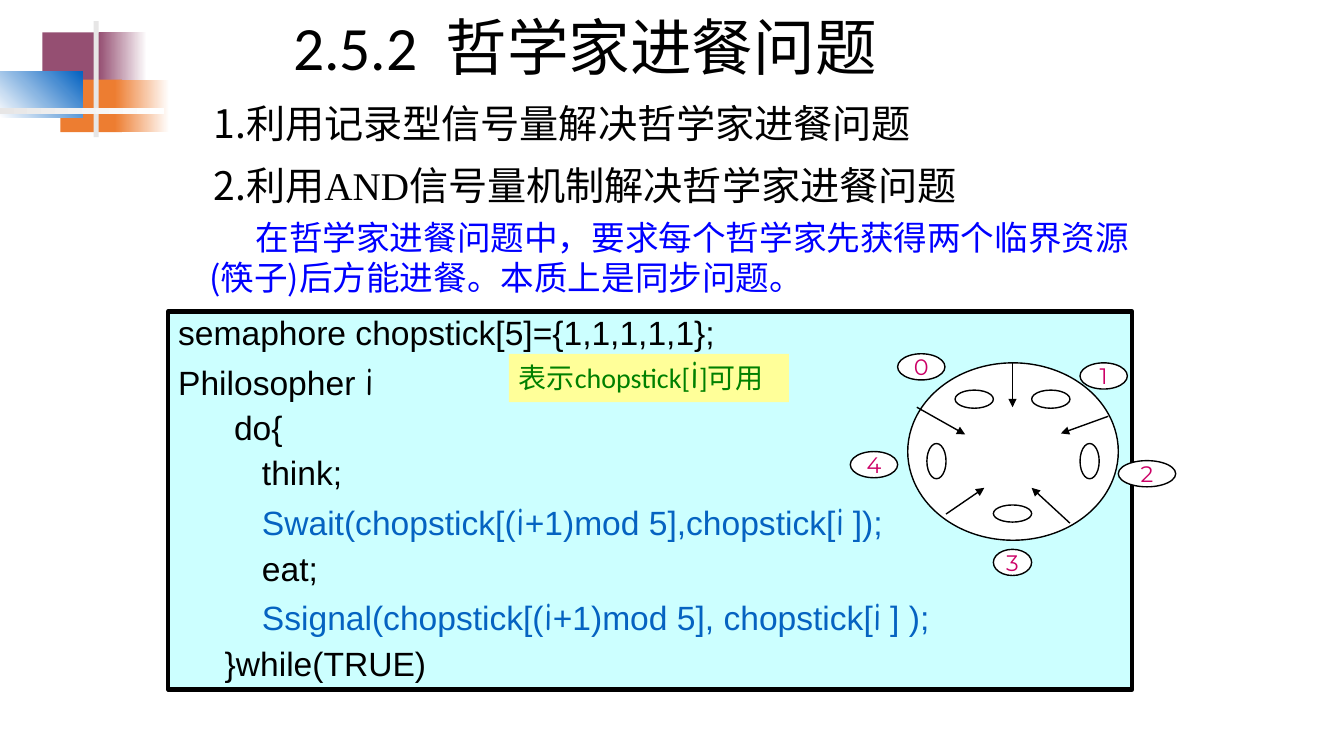
from dataclasses import dataclass

from lxml import etree
from pptx import Presentation
from pptx import util as u
from pptx.dml.color import RGBColor
from pptx.enum import shapes, text
from pptx.oxml.ns import qn

PX = 9144  # 100 px to the inch


@dataclass(frozen=True)
class Theme:
    # colours
    black: str = "000000"
    white: str = "FFFFFF"
    plum: str = "954F72"
    orange: str = "ED7D31"
    blue: str = "0563C1"
    grey: str = "E7E6E6"
    note: str = "0000FF"
    code_fill: str = "CCFFFF"
    tip_fill: str = "FFFF99"
    tip_text: str = "008000"
    number: str = "CC0066"
    # type sizes
    title: int = 44
    heading: int = 28
    body: int = 24
    tip: int = 20
    gap: int = 18
    label: int = 16
    # fonts
    cjk: str = "Noto Sans CJK SC"
    sans: str = "Arial"
    serif: str = "Times New Roman"
    ui: str = "Calibri"
    index: str = "Comic Neue"
    digit: str = "Montserrat"


THEME = Theme()


def span(content, **style):
    """A piece of text with its size, font and color."""
    return content, style


def write(box, paras, align=text.PP_ALIGN.LEFT, anchor=text.MSO_ANCHOR.TOP,
          wrap=True, grow=False, spacing=1.0, before=0, indent=0):
    """Fill a box with paragraphs, each a list of spans."""
    frame = box.text_frame
    frame.word_wrap = wrap
    frame.auto_size = (text.MSO_AUTO_SIZE.SHAPE_TO_FIT_TEXT if grow
                       else text.MSO_AUTO_SIZE.NONE)
    frame.vertical_anchor = anchor
    for number, spans in enumerate(paras):
        para = frame.add_paragraph() if number else frame.paragraphs[0]
        para.alignment = align
        para.line_spacing = spacing
        para.space_before = u.Pt(before if number else 0)
        if indent:
            para._p.get_or_add_pPr().set("indent", str(indent * PX))
        for content, style in spans:
            run = para.add_run()
            run.text = content
            run.font.size = u.Pt(style["size"])
            run.font.name = style["font"]
            run.font.color.rgb = RGBColor.from_string(style["color"])
            east = etree.SubElement(run._r.get_or_add_rPr(), qn("a:ea"))
            east.set("typeface", THEME.cjk)


class Slide:
    def __init__(self, deck, theme):
        self.theme = theme
        self.page = deck.slides.add_slide(deck.slide_layouts[6])

    def shape(self, kind, place, fill, line=0):
        """A preset shape; a pair of fill colours makes a gradient."""
        box = self.page.shapes.add_shape(kind, *(n * PX for n in place))
        box.shadow.inherit = False
        if isinstance(fill, tuple):
            box.fill.gradient()
            for stop, color in zip(box.fill.gradient_stops, fill):
                stop.color.rgb = RGBColor.from_string(color)
        else:
            box.fill.solid()
            box.fill.fore_color.rgb = RGBColor.from_string(fill)
        if line:
            box.line.color.rgb = RGBColor.from_string(self.theme.black)
            box.line.width = u.Pt(line)
        else:
            box.line.fill.background()
        return box

    def rect(self, place, fill, line=0, angle=0):
        box = self.shape(shapes.MSO_SHAPE.RECTANGLE, place, fill, line)
        if isinstance(fill, tuple):
            box.fill.gradient_angle = angle
        return box

    def oval(self, place):
        return self.shape(shapes.MSO_SHAPE.OVAL, place, self.theme.white, 1)

    def label(self, place, paras, **layout):
        box = self.page.shapes.add_textbox(*(n * PX for n in place))
        write(box, paras, **layout)

    def arrow(self, *ends):
        line = self.page.shapes.add_connector(
            shapes.MSO_CONNECTOR.STRAIGHT, *(n * PX for n in ends))
        line.line.color.rgb = RGBColor.from_string(self.theme.black)
        line.line.width = u.Pt(1)
        head = etree.SubElement(line.line._get_or_add_ln(), qn("a:tailEnd"))
        head.set("type", "triangle")
        etree.SubElement(line._element.spPr, qn("a:effectLst"))


def code(content, color=THEME.black):
    return span(content, size=THEME.body, font=THEME.sans, color=color)


def index(color=THEME.black, size=THEME.heading, content="i"):
    return span(content, size=size, font=THEME.index, color=color)


def semaphore_call(name, comma, close):
    blue = THEME.blue
    return [code(f"         {name}(chopstick[(", blue), index(blue),
            code(f"+1)mod 5]{comma}chopstick[", blue), index(blue),
            index(blue, THEME.gap, " "), code(close, blue)]


def heading(content, font=THEME.cjk):
    return span(content, size=THEME.heading, font=font, color=THEME.black)


def draw_ornament(slide):
    t = slide.theme
    slide.rect((42, 32, 64, 52), t.plum)
    slide.rect((98, 32, 48, 52), (t.plum, t.white))
    slide.rect((60, 79, 61, 52), t.orange)
    slide.rect((114, 79, 54, 52), (t.orange, t.white))
    slide.rect((0, 71, 82, 46), (t.white, t.blue), angle=45)
    slide.rect((93, 21, 5, 115), t.grey)
    slide.rect((0, 107, 163, 6), (t.grey, t.white))


def draw_headings(slide):
    t = slide.theme
    slide.label((281, 6, 852, 89), [[span(
        "2.5.2  哲学家进餐问题", size=t.title, font=t.ui, color=t.black)]],
        anchor=text.MSO_ANCHOR.MIDDLE, spacing=0.9)
    slide.label((202, 99, 787, 52),
                [[heading("1.利用记录型信号量解决哲学家进餐问题")]], spacing=0.9)
    slide.label((202, 155, 792, 57), [[
        heading("2.利用"), heading("AND", t.serif),
        heading("信号量机制解决哲学家进餐问题")]])
    slide.label((198, 210, 957, 90), [[span(
        "在哲学家进餐问题中，要求每个哲学家先获得两个临界资源(筷子)后方能进餐。"
        "本质上是同步问题。", size=t.body, font=t.cjk, color=t.note)]], indent=46)


def draw_code(slide):
    t = slide.theme
    box = slide.rect((167, 309, 957, 375), t.code_fill, 3)
    write(box, [
        [code("semaphore chopstick[5]={1,1,1,1,1};")],
        [code("Philosopher "), index()],
        [code("      do{")],
        [code("         think;")],
        semaphore_call("Swait", ",", "]);"),
        [code("         eat;")],
        semaphore_call("Ssignal", ", ", "] );"),
        [code("     }while(TRUE)")],
    ], spacing=0.9, before=6)


def draw_table(slide):
    t = slide.theme
    slide.oval((901, 360, 209, 176))
    # chopsticks
    for ends in ((1005, 360, 1005, 404), (910, 404, 958, 431),
                 (939, 510, 977, 484), (1062, 519, 1024, 484),
                 (1100, 413, 1053, 430)):
        slide.arrow(*ends)
    # philosophers: left, top, width
    seats = ((891, 351, 47), (1072, 360, 47), (1110, 457, 57),
             (986, 545, 38), (844, 448, 47))
    for number, (left, top, width) in enumerate(seats):
        write(slide.oval((left, top, width, 26)), [[span(
            str(number), size=t.label, font=t.digit, color=t.number)]],
            align=text.PP_ALIGN.CENTER, anchor=text.MSO_ANCHOR.MIDDLE, wrap=False)
    # plates
    for place in ((920, 440, 19, 35), (1072, 440, 19, 35), (986, 501, 38, 17),
                  (948, 387, 38, 18), (1024, 387, 38, 18)):
        slide.oval(place)


def draw_tip(slide):
    t = slide.theme
    style = dict(size=t.tip, font=t.ui, color=t.tip_text)
    write(slide.rect((505, 351, 278, 48), t.tip_fill), [[
        span("表示chopstick[", **style), index(t.tip_text), span("]可用", **style)]],
        wrap=False, grow=True, spacing=0.8)


def main():
    deck = Presentation()
    deck.slide_width, deck.slide_height = 1334 * PX, 750 * PX
    slide = Slide(deck, THEME)
    for draw in (draw_ornament, draw_headings, draw_code, draw_table, draw_tip):
        draw(slide)
    deck.save("out.pptx")


if __name__ == "__main__":
    main()
